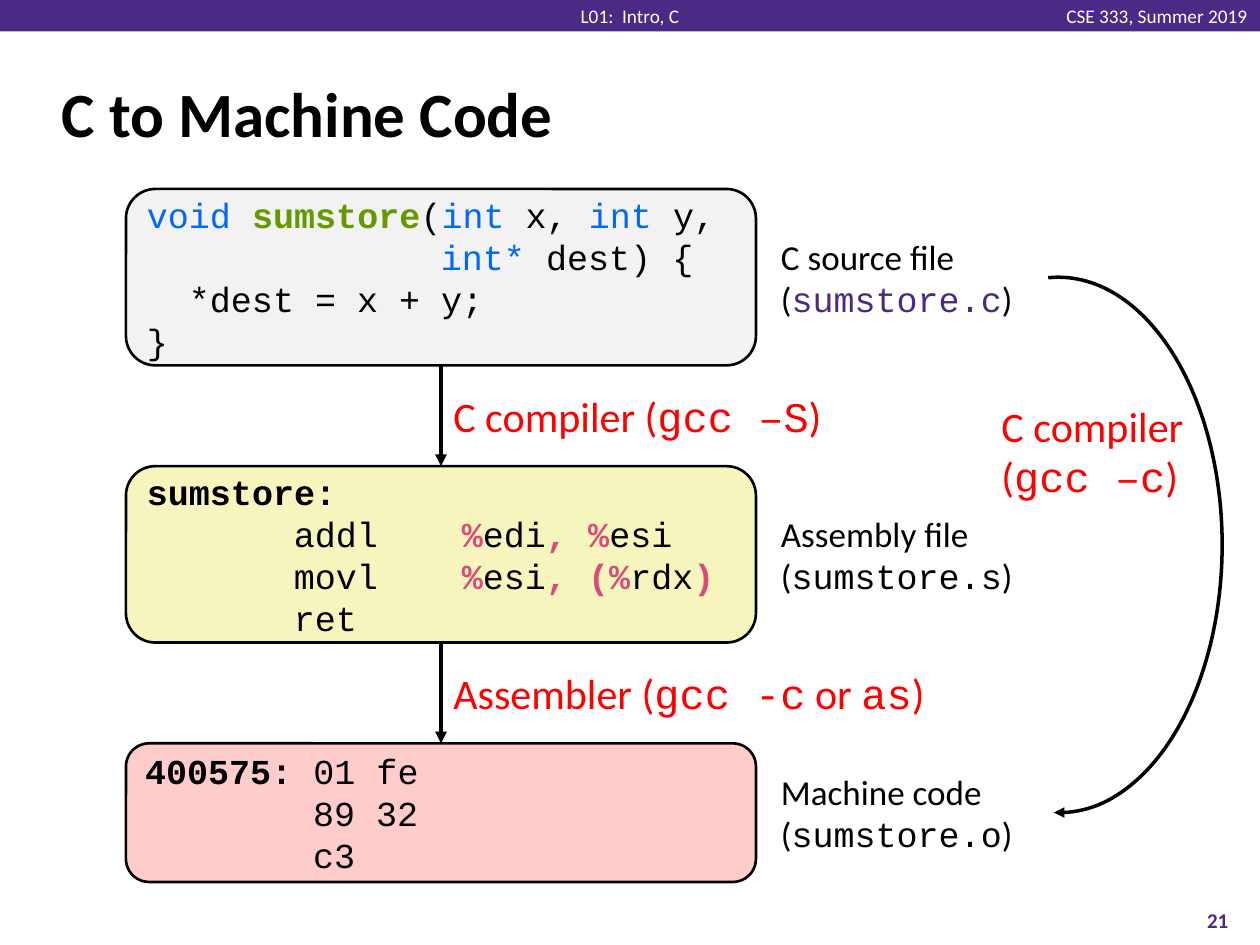
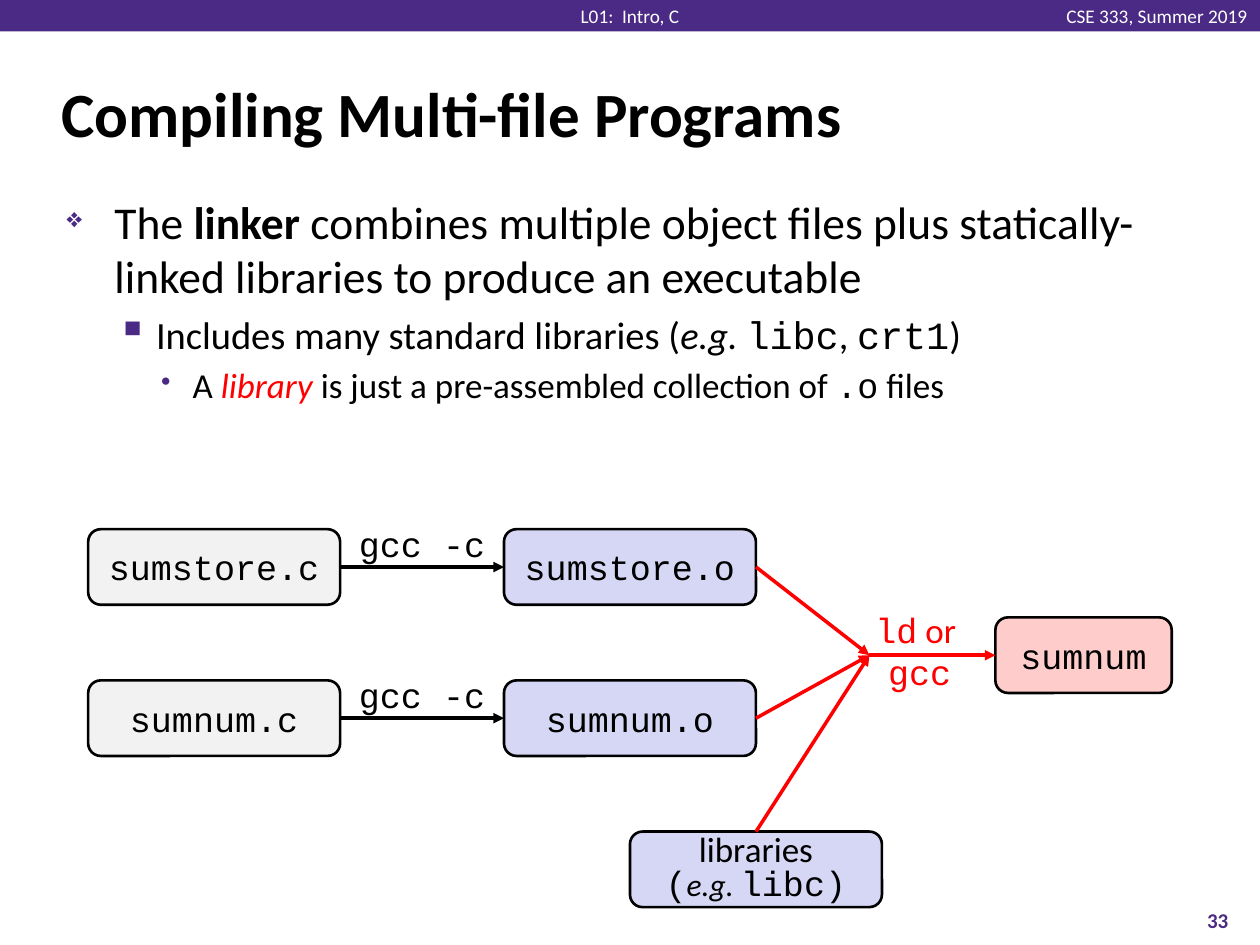
from dataclasses import dataclass
from functools import partial

import pptx
import pptx.dml.color
import pptx.enum.shapes
import pptx.enum.text
import pptx.oxml.ns
import pptx.slide
import pptx.text.text
import pptx.util
from lxml import etree

Inches = pptx.util.Inches
Pt = pptx.util.Pt
Align = pptx.enum.text.PP_ALIGN
Anchor = pptx.enum.text.MSO_ANCHOR
Preset = pptx.enum.shapes.MSO_SHAPE
qn = pptx.oxml.ns.qn

COLORS = {
    "black": "000000", "white": "FFFFFF", "purple": "4B2A85", "red": "FF0000",
    "keyword": "0066FF", "function": "669900", "symbol": "D94B7B",
    "source": "F2F2F2", "assembly": "F6F5BD", "machine": "FFCCCC", "object": "D6D6F5",
}
CHAR_WIDTH = 1 / 6  # inches per Courier New character at 20 pt


@dataclass(frozen=True)
class Piece:
    """A stretch of text in one format; empty values come from its text block."""
    text: str
    color: str = ""
    bold: bool = False
    italic: bool = False
    size: float = 0
    font: str = "Calibri"


mono = partial(Piece, font="Courier New")
Lines = list[list[Piece]]


@dataclass(frozen=True)
class Box:
    left: float
    top: float
    width: float
    height: float


@dataclass(frozen=True)
class Node:
    box: Box
    fill: str
    lines: Lines
    align: Align = Align.CENTER
    tab_columns: tuple[int, ...] = ()
    line_spacing: float = 1


@dataclass(frozen=True)
class Label:
    box: Box
    lines: Lines
    size: float = 20
    color: str = "black"
    align: Align = Align.LEFT
    anchor: Anchor = Anchor.TOP
    inset: float = 0.05


@dataclass(frozen=True)
class Arrow:
    start: tuple[float, float]
    end: tuple[float, float]
    color: str = "black"
    weight: float = 2


@dataclass(frozen=True)
class Bullet:
    symbol: str
    scale: int
    indent: float
    hanging: float
    size: float
    pieces: list[Piece]


def rgb(name: str) -> pptx.dml.color.RGBColor:
    return pptx.dml.color.RGBColor.from_string(COLORS[name])


def place(box: Box) -> tuple[int, ...]:
    return tuple(Inches(n) for n in (box.left, box.top, box.width, box.height))


def write_pieces(paragraph, pieces: list[Piece], size: float, color: str) -> None:
    for piece in pieces:
        run = paragraph.add_run()
        run.text = piece.text
        run.font.name = piece.font
        run.font.size = Pt(piece.size or size)
        run.font.bold = piece.bold
        run.font.italic = piece.italic
        run.font.color.rgb = rgb(piece.color or color)


def write_lines(frame: pptx.text.text.TextFrame, lines: Lines, size: float = 20,
                color: str = "black", align: Align = Align.LEFT) -> None:
    frame.word_wrap = True
    for index, pieces in enumerate(lines):
        paragraph = frame.add_paragraph() if index else frame.paragraphs[0]
        paragraph.alignment = align
        write_pieces(paragraph, pieces, size, color)


def add_label(slide: pptx.slide.Slide, label: Label) -> pptx.text.text.TextFrame:
    frame = slide.shapes.add_textbox(*place(label.box)).text_frame
    frame.vertical_anchor = label.anchor
    frame.margin_top = frame.margin_bottom = Inches(label.inset)
    write_lines(frame, label.lines, label.size, label.color, label.align)
    return frame


def set_tabs(paragraph, columns: tuple[int, ...]) -> None:
    """Put tab stops at the given character columns."""
    stops = etree.SubElement(paragraph._p.get_or_add_pPr(), qn("a:tabLst"))
    for column in columns:
        etree.SubElement(stops, qn("a:tab"), pos=str(Inches(column * CHAR_WIDTH)), algn="l")


def add_node(slide: pptx.slide.Slide, node: Node) -> None:
    shape = slide.shapes.add_shape(Preset.ROUNDED_RECTANGLE, *place(node.box))
    shape.shadow.inherit = False
    shape.fill.solid()
    shape.fill.fore_color.rgb = rgb(node.fill)
    shape.line.color.rgb = rgb("black")
    shape.line.width = Pt(1.5)
    shape.text_frame.vertical_anchor = Anchor.MIDDLE
    write_lines(shape.text_frame, node.lines, align=node.align)
    for paragraph in shape.text_frame.paragraphs:
        if node.line_spacing != 1:
            paragraph.line_spacing = node.line_spacing
        if node.tab_columns:
            set_tabs(paragraph, node.tab_columns)


def draw_arrow_line(line, color: str, weight: float) -> None:
    line.color.rgb = rgb(color)
    line.width = Pt(weight)
    etree.SubElement(line._get_or_add_ln(), qn("a:tailEnd"), type="triangle")


def add_arrow(slide: pptx.slide.Slide, arrow: Arrow) -> None:
    ends = [Inches(n) for n in (*arrow.start, *arrow.end)]
    connector = slide.shapes.add_connector(pptx.enum.shapes.MSO_CONNECTOR.STRAIGHT, *ends)
    draw_arrow_line(connector.line, arrow.color, arrow.weight)
    etree.SubElement(connector._element.spPr, qn("a:effectLst"))


def add_bullets(slide: pptx.slide.Slide, box: Box, bullets: list[Bullet]) -> None:
    frame = add_label(slide, Label(box, [[] for _ in bullets]))
    for level, (paragraph, bullet) in enumerate(zip(frame.paragraphs, bullets)):
        paragraph.level = level
        paragraph.space_before = Pt(0.2 * bullet.size)
        props = paragraph._p.get_or_add_pPr()
        props.set("marL", str(Inches(bullet.indent)))
        props.set("indent", str(-Inches(bullet.hanging)))
        tint = etree.SubElement(props, qn("a:buClr"))
        etree.SubElement(tint, qn("a:srgbClr"), val=COLORS["purple"])
        etree.SubElement(props, qn("a:buSzPct"), val=str(bullet.scale * 1000))
        etree.SubElement(props, qn("a:buChar"), char=bullet.symbol)
        write_pieces(paragraph, bullet.pieces, bullet.size, "black")


def start_slide(deck, title: str, number: int) -> pptx.slide.Slide:
    """Add a slide with the shared band, header texts, title and page number."""
    slide = deck.slides.add_slide(deck.slide_layouts[6])
    band = slide.shapes.add_shape(Preset.RECTANGLE, *place(Box(0, 0, 10, 0.25)))
    band.shadow.inherit = False
    band.fill.solid()
    band.fill.fore_color.rgb = rgb("purple")
    band.line.fill.background()
    for left, text, align in ((8, "CSE 333, Summer 2019", Align.RIGHT),
                              (4, "L01:  Intro, C", Align.CENTER)):
        add_label(slide, Label(Box(left, 0.03, 2, 0.19), [[Piece(text)]], 11, "white",
                               align, Anchor.MIDDLE, 0))
    add_label(slide, Label(Box(0.39, 0.48, 9.19, 0.83), [[Piece(title, bold=True)]], 36,
                           anchor=Anchor.MIDDLE))
    add_label(slide, Label(Box(9.33, 7.1, 0.67, 0.4), [[Piece(str(number), bold=True)]], 12,
                           "purple", Align.CENTER, Anchor.MIDDLE))
    return slide


def build_machine_code(deck) -> None:
    slide = start_slide(deck, "C to Machine Code", 21)
    keyword = partial(mono, color="keyword")
    symbol = partial(mono, color="symbol", bold=True)
    c_source: Lines = [
        [keyword("void "), mono("sumstore", "function", True), mono("("), keyword("int"),
         mono(" x, "), keyword("int"), mono(" y,")],
        [keyword("\t\tint* "), mono("dest) {")],
        [mono("\t*dest = x + y;")],
        [mono("}")],
    ]
    assembly: Lines = [
        [mono("sumstore:", bold=True)],
        [mono("\taddl\t"), symbol("%"), mono("edi"), symbol(", %"), mono("esi")],
        [mono("\tmovl\t"), symbol("%"), mono("esi"), symbol(", (%"), mono("rdx"), symbol(")")],
        [mono("\tret")],
    ]
    machine: Lines = [
        [mono("400575:", bold=True), mono(" 01 fe")],
        [mono("\t89 32")],
        [mono("\tc3")],
    ]
    stages = [
        (1.5, 1.4, "source", c_source, (2, 14), "C source file", "sumstore.c", "purple"),
        (3.7, 1.4, "assembly", assembly, (7, 15), "Assembly file", "sumstore.s", "black"),
        (5.9, 1.1, "machine", machine, (8,), "Machine code", "sumstore.o", "black"),
    ]
    for top, height, fill, code, columns, kind, file_name, color in stages:
        add_node(slide, Node(Box(1, top, 5, height), fill, code, Align.LEFT, columns))
        caption = [[Piece(kind)], [Piece("("), mono(file_name, color), Piece(")")]]
        add_label(slide, Label(Box(6.1, top + height / 2 - 0.35, 2.5, 0.7), caption,
                               anchor=Anchor.MIDDLE, inset=0))

    compiler = [Piece("C compiler ("), mono("gcc –S"), Piece(")")]
    assembler = [Piece("Assembler ("), mono("gcc -c"), Piece(" or "), mono("as"), Piece(")")]
    for top, step in ((2.9, compiler), (5.1, assembler)):
        add_arrow(slide, Arrow((3.5, top), (3.5, top + 0.8), weight=2.25))
        add_label(slide, Label(Box(3.5, top + 0.15, 4.2, 0.5), [step], 24, "red"))

    shortcut = slide.shapes.add_shape(Preset.ARC, *place(Box(7.1, 2.2, 2.6, 4.25)))
    shortcut.shadow.inherit = False
    shortcut.adjustments[0] = 160.7
    shortcut.adjustments[1] = 54.57
    shortcut.fill.background()
    draw_arrow_line(shortcut.line, "black", 2)
    direct = [[Piece("C compiler")], [Piece("("), mono("gcc –c"), Piece(")")]]
    add_label(slide, Label(Box(7.85, 3.13, 1.8, 0.91), direct, 24, "red"))


def build_multi_file(deck) -> None:
    slide = start_slide(deck, "Compiling Multi-file Programs", 33)
    add_bullets(slide, Box(0.43, 1.49, 9.15, 2), [
        Bullet("❖", 60, 0.38, 0.38, 26, [
            Piece("The "), Piece("linker", bold=True),
            Piece(" combines multiple object files plus statically-linked libraries"
                  " to produce an executable")]),
        Bullet("▪", 110, 0.71, 0.31, 22, [
            Piece("Includes many standard libraries ("), Piece("e.g. ", italic=True),
            mono("libc"), Piece(", "), mono("crt1"), Piece(")")]),
        Bullet("•", 80, 1, 0.25, 20, [
            Piece("A "), Piece("library ", "red", italic=True),
            Piece("is just a pre-assembled collection of "), mono(".o"), Piece(" files")]),
    ])

    for top, module in ((4.2, "sumstore"), (5.4, "sumnum")):
        middle = top + 0.3
        add_node(slide, Node(Box(0.7, top, 2, 0.6), "source", [[mono(f"{module}.c")]]))
        add_node(slide, Node(Box(4, top, 2, 0.6), "object", [[mono(f"{module}.o")]]))
        add_arrow(slide, Arrow((2.7, middle), (4, middle)))
        add_label(slide, Label(Box(2.7, top - 0.1, 1.3, 0.44), [[mono("gcc -c")]],
                               align=Align.CENTER))
    libraries = [[Piece("libraries")],
                 [mono("("), Piece("e.g. ", italic=True, size=18), mono("libc)")]]
    add_node(slide, Node(Box(5, 6.6, 2, 0.6), "object", libraries, line_spacing=0.8))
    add_node(slide, Node(Box(7.9, 4.9, 1.4, 0.6), "machine", [[mono("sumnum")]]))

    junction = (6.9, 5.2)
    for linked in ((6, 4.5), (6, 5.7), (6, 6.6)):
        add_arrow(slide, Arrow(linked, junction, "red"))
    add_arrow(slide, Arrow(junction, (7.9, 5.2), "red"))
    add_label(slide, Label(Box(6.8, 4.78, 1, 0.77), [[mono("ld"), Piece(" or ")], [mono("gcc")]],
                           color="red", align=Align.CENTER))


def main() -> None:
    deck = pptx.Presentation()
    deck.slide_width, deck.slide_height = Inches(10), Inches(7.5)
    build_machine_code(deck)
    build_multi_file(deck)
    deck.save("out.pptx")


if __name__ == "__main__":
    main()
